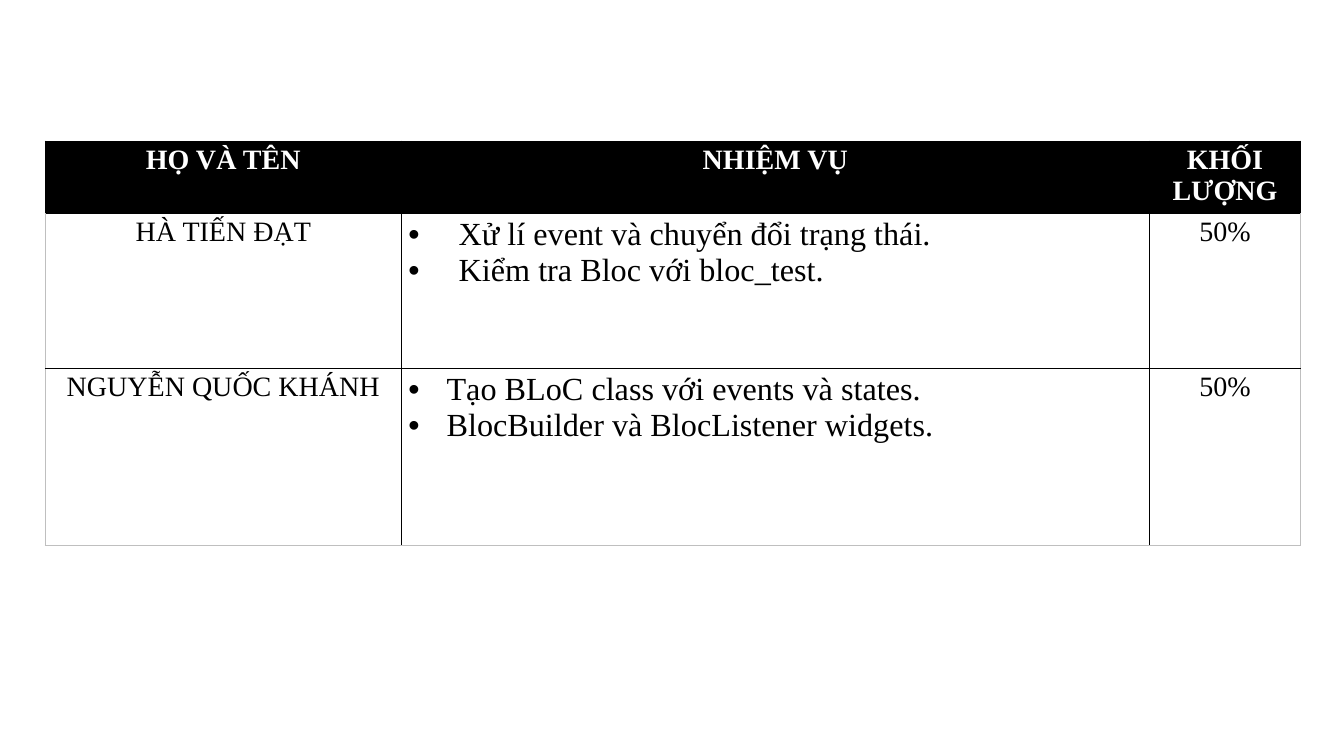
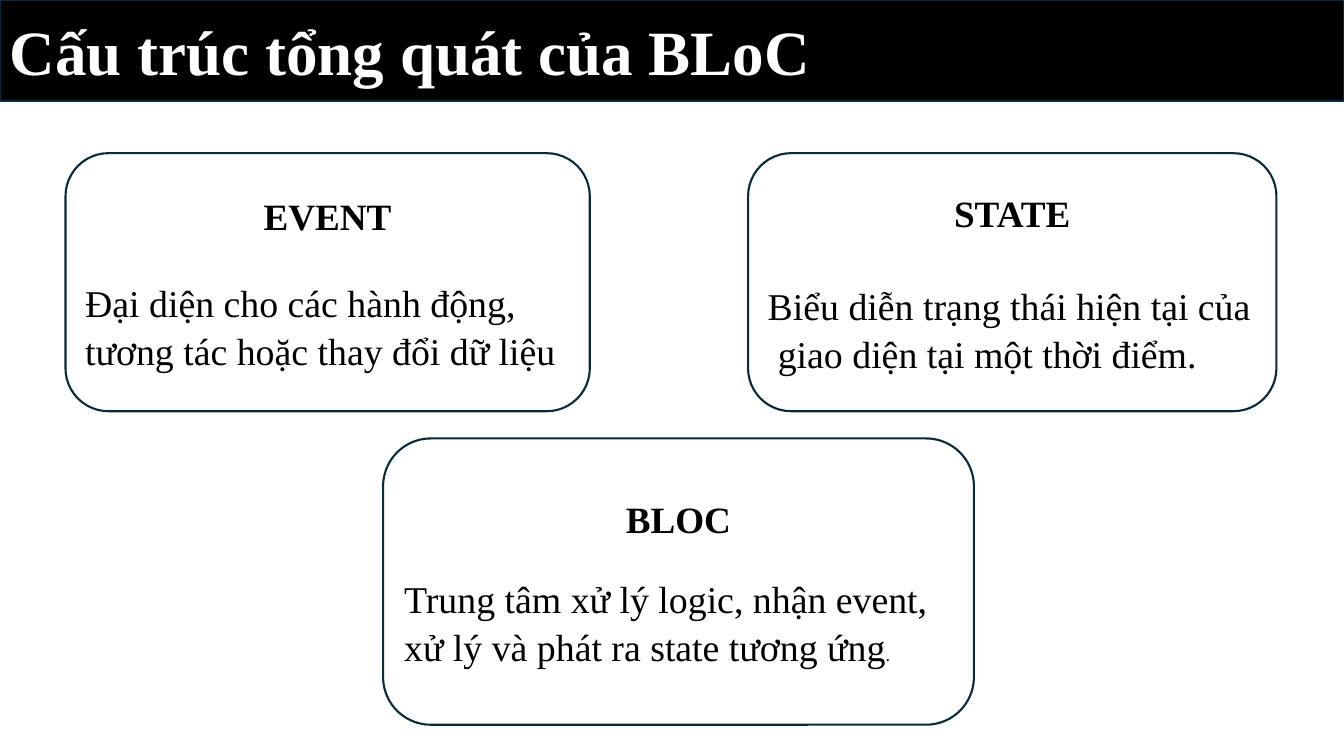
"""Build a task table slide and a BLoC structure slide."""
from dataclasses import dataclass

from lxml.etree import SubElement
from pptx import Presentation
from pptx.dml.color import RGBColor
from pptx.enum.shapes import MSO_SHAPE
from pptx.enum.text import MSO_ANCHOR, PP_ALIGN
from pptx.oxml import parse_xml
from pptx.oxml.ns import nsdecls, qn
from pptx.util import Pt

PX = 9144


@dataclass(frozen=True)
class Theme:
    font: str = "Times New Roman"
    black: str = "000000"
    white: str = "FFFFFF"
    outline: str = "092A39"
    edge: str = "BFBFBF"
    title_size: float = 45
    heading_size: float = 26.5
    body_size: float = 27
    small_size: float = 13
    cell_size: float = 20
    task_size: float = 23


theme = Theme()
MARGINS = {"margin_left": 7 * PX, "margin_right": 7 * PX, "margin_top": 3 * PX, "margin_bottom": 3 * PX}


def add_text(paragraph, text, size, color=theme.black, bold=False, **layout):
    for name, value in layout.items():
        setattr(paragraph, name, value)
    run = paragraph.add_run()
    run.text = text
    for name, value in {"name": theme.font, "size": Pt(size), "bold": bold}.items():
        setattr(run.font, name, value)
    run.font.color.rgb = RGBColor.from_string(color)


def add_panel(slide, preset, box, fill):
    shape = slide.shapes.add_shape(preset, *(value * PX for value in box))
    shape.shadow.inherit = False
    shape.fill.solid()
    shape.fill.fore_color.rgb = RGBColor.from_string(fill)
    shape.line.color.rgb = RGBColor.from_string(theme.outline)
    shape.line.width = Pt(1.5)
    return shape


presentation = Presentation()
presentation.slide_width = 1333 * PX
presentation.slide_height = 750 * PX
blank_layout = presentation.slide_layouts[6]

task_slide = presentation.slides.add_slide(blank_layout)
column_widths = [353, 742, 150]
row_heights = [72, 154, 175]
task_rows = [
    (["HỌ VÀ TÊN"], ["NHIỆM VỤ"], ["KHỐI LƯỢNG"]),
    (["HÀ TIẾN ĐẠT"], ["Xử lí event và chuyển đổi trạng thái.", "Kiểm tra Bloc với bloc_test."], ["50%"]),
    (["NGUYỄN QUỐC KHÁNH"], ["Tạo BLoC class với events và states.", "BlocBuilder và BlocListener widgets."], ["50%"]),
]
bullet_indents = {1: 50, 2: 38}
last_row, last_column = len(row_heights) - 1, len(column_widths) - 1

table = task_slide.shapes.add_table(
    len(row_heights), len(column_widths), 45 * PX, 140 * PX, sum(column_widths) * PX, sum(row_heights) * PX
).table
for column, width in zip(table.columns, column_widths):
    column.width = width * PX
for row, height in zip(table.rows, row_heights):
    row.height = height * PX

for row_index, row_texts in enumerate(task_rows):
    is_header = row_index == 0
    for column_index, lines in enumerate(row_texts):
        cell = table.cell(row_index, column_index)
        for name, value in MARGINS.items():
            setattr(cell, name, value)
        if is_header:
            cell.fill.solid()
            cell.fill.fore_color.rgb = RGBColor.from_string(theme.black)
        else:
            cell.fill.background()

        is_task = column_index == 1 and not is_header
        for line_index, line in enumerate(lines):
            paragraph = cell.text_frame.add_paragraph() if line_index else cell.text_frame.paragraphs[0]
            add_text(
                paragraph,
                line,
                theme.task_size if is_task else theme.cell_size,
                theme.white if is_header else theme.black,
                is_header,
                alignment=PP_ALIGN.JUSTIFY if is_task else PP_ALIGN.CENTER,
            )
            if is_task:
                indent = bullet_indents[row_index] * PX
                properties = paragraph._p.get_or_add_pPr()
                properties.set("marL", str(indent))
                properties.set("indent", str(-indent))
                SubElement(properties, qn("a:buFont"), typeface="Arial")
                SubElement(properties, qn("a:buChar"), char="•")

        outer_sides = {
            "lnL": column_index == 0 and not is_header,
            "lnR": column_index == last_column and not is_header,
            "lnT": False,
            "lnB": row_index == last_row,
        }
        cell_properties = cell._tc.get_or_add_tcPr()
        for position, (side, is_outer) in enumerate(outer_sides.items()):
            color = theme.edge if is_outer else theme.black
            border = parse_xml(
                f'<a:{side} {nsdecls("a")} w="{Pt(1)}"><a:solidFill><a:srgbClr val="{color}"/></a:solidFill></a:{side}>'
            )
            cell_properties.insert(position, border)

structure_slide = presentation.slides.add_slide(blank_layout)
cards = [
    ("EVENT", (65, 152, 520, 256), 28, 0, ["Đại diện cho các hành động,", "tương tác hoặc thay đổi dữ liệu"], ""),
    ("STATE", (742, 152, 524, 256), 32, 10, ["Biểu diễn trạng thái hiện tại của giao diện tại một thời điểm."], ""),
    ("BLOC", (380, 435, 586, 284), 23, 0, ["Trung tâm xử lý logic, nhận event, xử lý và phát ra state tương ứng"], "."),
]
for heading, box, gap, hanging, lines, small_ending in cards:
    card = add_panel(structure_slide, MSO_SHAPE.ROUNDED_RECTANGLE, box, theme.white)
    frame = card.text_frame
    for name, value in {**MARGINS, "word_wrap": True, "vertical_anchor": MSO_ANCHOR.MIDDLE}.items():
        setattr(frame, name, value)
    add_text(
        frame.paragraphs[0],
        heading,
        theme.heading_size,
        bold=True,
        alignment=PP_ALIGN.CENTER,
        line_spacing=1.06,
        space_after=Pt(gap),
    )
    for line in lines:
        paragraph = frame.add_paragraph()
        add_text(paragraph, line, theme.body_size, alignment=PP_ALIGN.LEFT, line_spacing=1.06)
        if hanging:
            properties = paragraph._p.get_or_add_pPr()
            properties.set("marL", str(hanging * PX))
            properties.set("indent", str(-hanging * PX))
    if small_ending:
        add_text(paragraph, small_ending, theme.small_size)

add_panel(structure_slide, MSO_SHAPE.RECTANGLE, (0, 0, 1333, 100), theme.black)
title = structure_slide.shapes.add_textbox(0, 8 * PX, 853 * PX, 86 * PX)
title.text_frame.word_wrap = True
add_text(title.text_frame.paragraphs[0], "Cấu trúc tổng quát của BLoC", theme.title_size, theme.white, True)

presentation.save("out.pptx")
